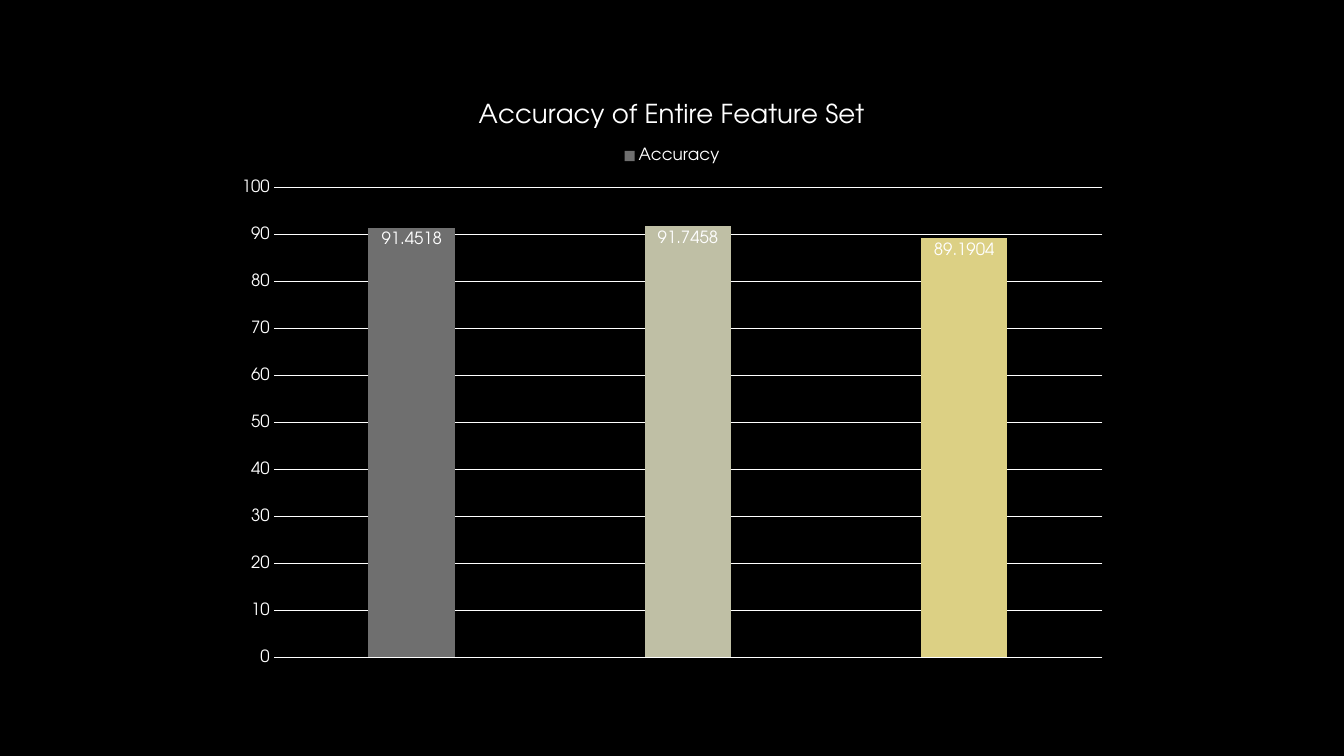
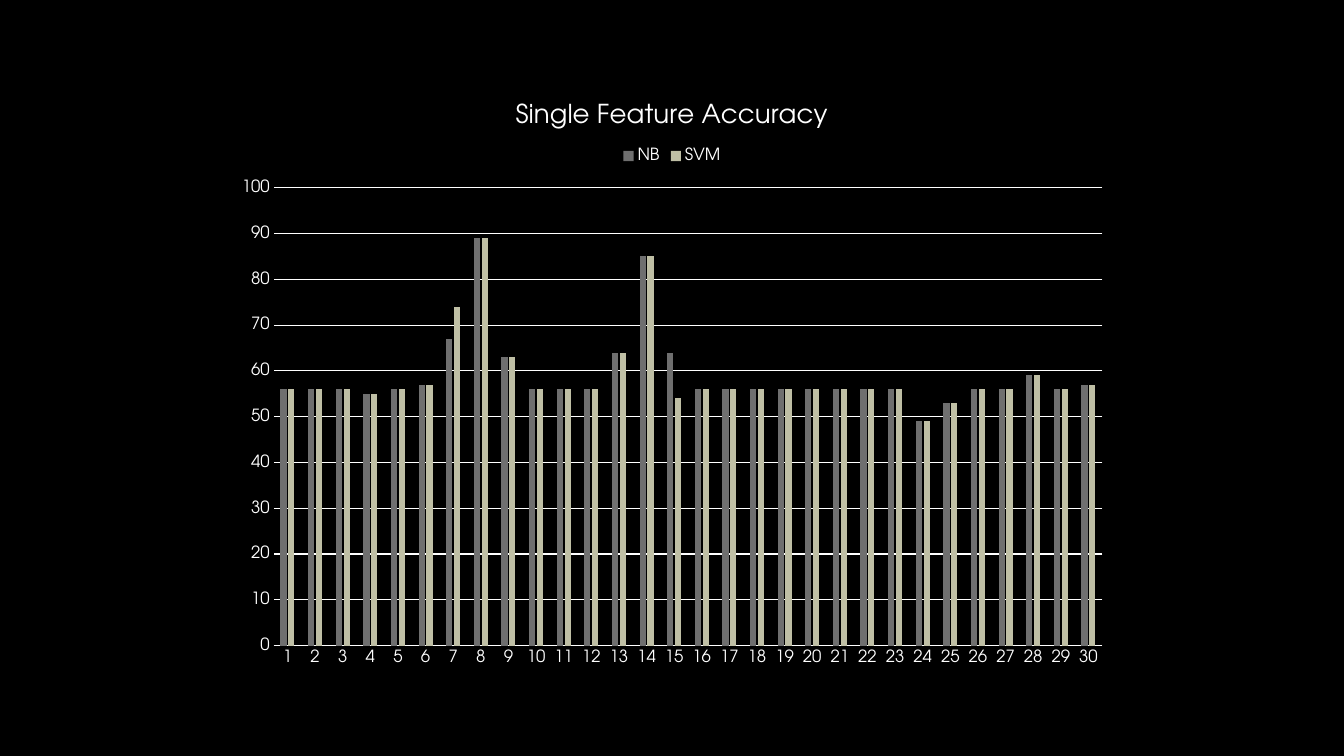
from dataclasses import dataclass

from pptx import Presentation
from pptx.chart.data import CategoryChartData
from pptx.dml.color import RGBColor
from pptx.enum.chart import XL_CHART_TYPE as ChartType
from pptx.enum.chart import XL_LABEL_POSITION as LabelPosition
from pptx.enum.chart import XL_LEGEND_POSITION as LegendPosition
from pptx.enum.chart import XL_TICK_MARK as TickMark
from pptx.util import Inches, Pt


@dataclass(frozen=True)
class Theme:
    """Colours and type sizes shared by the slides."""
    background: RGBColor = RGBColor.from_string("000000")
    text: RGBColor = RGBColor.from_string("FFFFFF")
    bars: tuple = tuple(map(RGBColor.from_string, ("6F6F6F", "BFBFA5", "DCD084")))
    font: str = "TeX Gyre Adventor"
    title_size: float = 18.6
    label_size: float = 12
    rule_width: float = 0.75


THEME = Theme()
CHART_BOX = (2.22, 0.79, 8.89, 5.93)
BAR_SPACING = {"gap_width": 219, "overlap": -27, "vary_by_categories": False}
LEGEND_FORMAT = {"position": LegendPosition.TOP, "include_in_layout": False}
TICK_FORMAT = {"major_tick_mark": TickMark.NONE, "minor_tick_mark": TickMark.NONE}
SCALE_FORMAT = {"minimum_scale": 0, "maximum_scale": 100, "major_unit": 10,
                "has_major_gridlines": True}
LABEL_FORMAT = {"show_value": True, "position": LabelPosition.INSIDE_END}

ENTIRE_SET = {"Accuracy": (91.4518, 91.7458, 89.1904)}
SINGLE_FEATURE = {
    "NB": (56, 56, 56, 55, 56, 57, 67, 89, 63, 56, 56, 56, 64, 85, 64,
           56, 56, 56, 56, 56, 56, 56, 56, 49, 53, 56, 56, 59, 56, 57),
    "SVM": (56, 56, 56, 55, 56, 57, 74, 89, 63, 56, 56, 56, 64, 85, 54,
            56, 56, 56, 56, 56, 56, 56, 56, 49, 53, 56, 56, 59, 56, 57),
}


def apply_format(target, values):
    """Set each named attribute of the target."""
    for name, value in values.items():
        setattr(target, name, value)


def style_font(font, size=THEME.label_size):
    """Give a font the shared typeface and colour."""
    apply_format(font, {"name": THEME.font, "size": Pt(size), "bold": False})
    font.color.rgb = THEME.text


def style_rule(line):
    """Draw an axis or grid line in the shared style."""
    line.color.rgb = THEME.text
    line.width = Pt(THEME.rule_width)


def fill_bar(bar, color):
    """Fill a series or a single bar with one colour."""
    bar.format.fill.solid()
    bar.format.fill.fore_color.rgb = color


def style_title(chart, title):
    """Write the chart title."""
    chart.has_title = True
    heading = chart.chart_title.text_frame
    heading.text = title
    style_font(heading.paragraphs[0].runs[0].font, THEME.title_size)


def style_axes(chart):
    """Format both axes and the grid."""
    categories, scale = chart.category_axis, chart.value_axis
    for axis in (categories, scale):
        apply_format(axis, TICK_FORMAT)
        style_font(axis.tick_labels.font)
    apply_format(scale, SCALE_FORMAT)
    scale.format.line.fill.background()
    for ruled in (categories, scale.major_gridlines):
        style_rule(ruled.format.line)


def add_bar_chart(slide, box, title, columns):
    """Place a titled column chart in the box."""
    data = CategoryChartData()
    count = len(next(iter(columns.values())))
    data.categories = [str(number) for number in range(1, count + 1)]
    for name, values in columns.items():
        data.add_series(name, values)
    chart = slide.shapes.add_chart(
        ChartType.COLUMN_CLUSTERED, *map(Inches, box), data).chart
    style_font(chart.font)
    style_title(chart, title)
    style_axes(chart)
    chart.has_legend = True
    apply_format(chart.legend, LEGEND_FORMAT)
    style_font(chart.legend.font)
    plot = chart.plots[0]
    apply_format(plot, BAR_SPACING)
    for series, color in zip(plot.series, THEME.bars):
        series.invert_if_negative = False
        fill_bar(series, color)
    return chart


def build_entire_set(slide, box):
    """Show the accuracy of the entire feature set, one colour per bar."""
    chart = add_bar_chart(slide, box, "Accuracy of Entire Feature Set", ENTIRE_SET)
    chart.category_axis.visible = False
    accuracy = chart.plots[0].series[0]
    for index, color in enumerate(THEME.bars[1:], start=1):
        fill_bar(accuracy.points[index], color)
    apply_format(accuracy.data_labels, LABEL_FORMAT)
    style_font(accuracy.data_labels.font)


def build_single_feature(slide, box):
    """Compare both classifiers feature by feature."""
    add_bar_chart(slide, box, "Single Feature Accuracy", SINGLE_FEATURE)


def main():
    """Build and save the presentation."""
    deck = Presentation()
    apply_format(deck, {"slide_width": Inches(13.33), "slide_height": Inches(7.5)})
    backdrop = deck.slide_master.background.fill
    backdrop.solid()
    backdrop.fore_color.rgb = THEME.background
    blank = deck.slide_layouts.get_by_name("Blank")
    for build in (build_entire_set, build_single_feature):
        build(deck.slides.add_slide(blank), CHART_BOX)
    deck.save("out.pptx")


if __name__ == "__main__":
    main()
